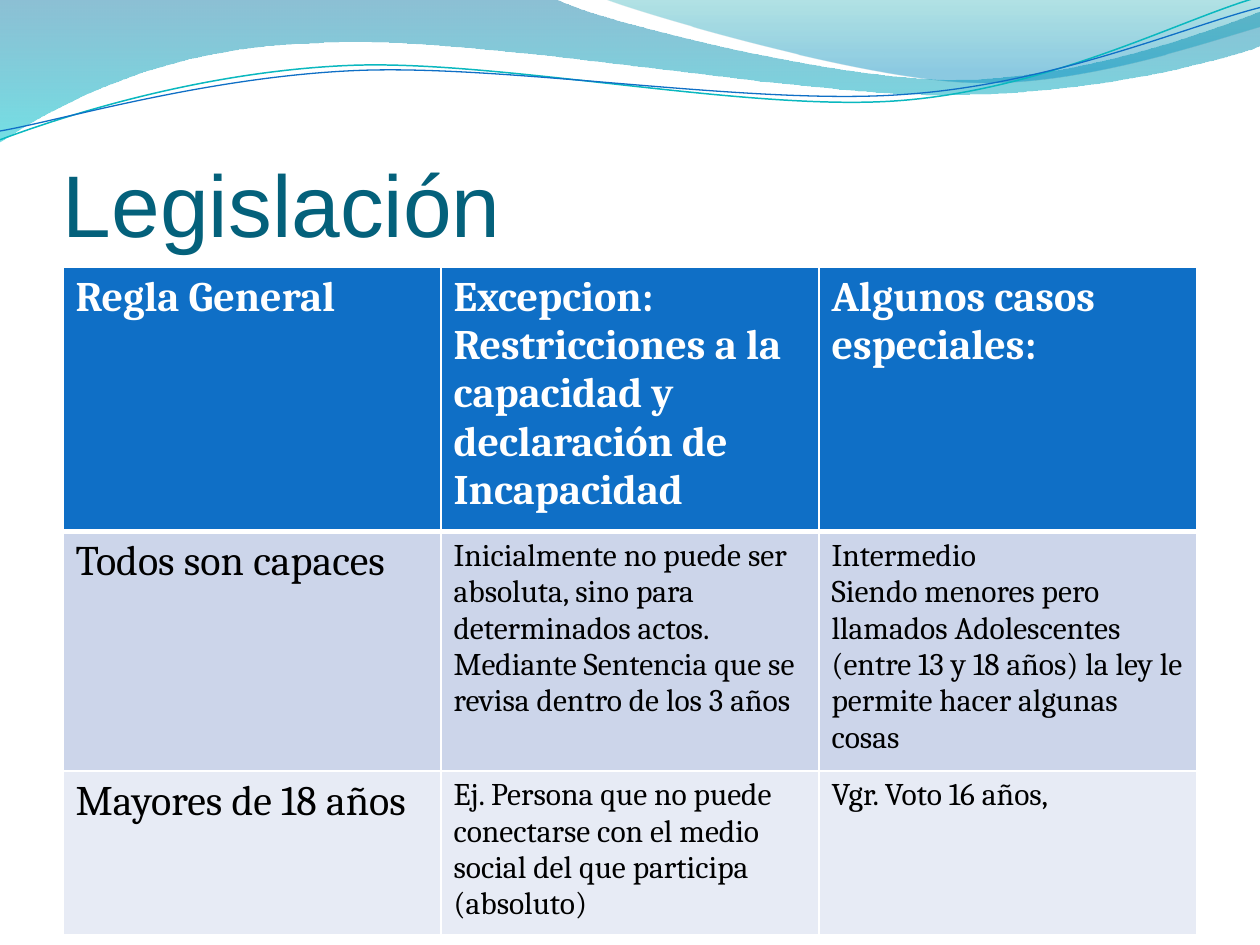
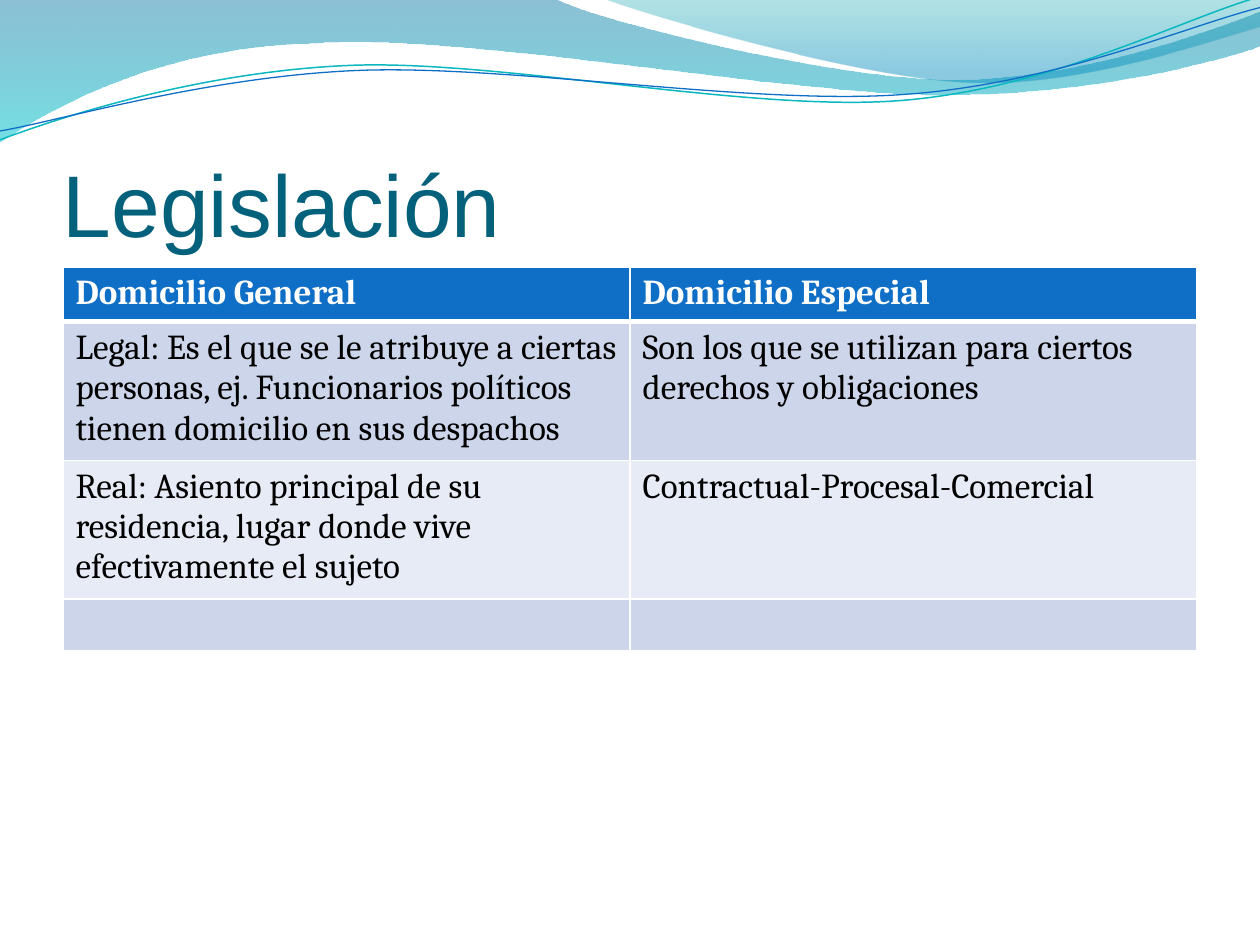
"""Build two slides on legal capacity and domicile, under a shared wave band."""
from dataclasses import dataclass

from lxml import etree
from pptx import Presentation
from pptx.dml.color import RGBColor
from pptx.enum import text as t
from pptx.oxml.ns import qn
from pptx.util import Inches, Pt


@dataclass(frozen=True)
class Theme:
    """Colours, fonts and type sizes of the deck."""
    title_color: str = "04617B"
    header_fill: str = "0F6FC6"
    header_text: str = "FFFFFF"
    body_text: str = "000000"
    border: str = "FFFFFF"
    bands: tuple = ("CCD5EA", "E7EBF5")
    title_font: str = "Arial"
    body_font: str = "Cambria"
    title_size: int = 50
    large: int = 24
    medium: int = 20
    small: int = 18


THEME = Theme()
WIDTH, HEIGHT = 10, 7.5
TITLE_BOX = (0.5, 0.77, 9, 1.25)
TABLE_LEFT, TABLE_TOP, TABLE_WIDTH = 0.5, 2.12, 9
ROW_HEIGHT = 0.41

# Outlines: a start, then segments of one point (straight) or of two controls
# and an end (curved). Gradient stops: position, colour, opacity in percent.
WAVES = [
    dict(start=(0, 0),
         segments=[[(4.4, -0.01)],
                   [(4.76, 0.17), (6.64, 0.63), (7.58, 0.63)],
                   [(8.53, 0.63), (9.58, 0.26), (10, 0.09)],
                   [(10.01, 0.36)],
                   [(9.83, 0.44), (8.7, 0.76), (7.46, 0.75)],
                   [(6.22, 0.75), (3.82, 0.28), (2.57, 0.34)],
                   [(1.29, 0.36), (0.46, 0.83), (-0.01, 1.13)],
                   [(0, 0)]],
         gradient=[(0, "0074A1", 45), (1, "00C6CF", 55)]),
    dict(start=(4.79, -0.01),
         segments=[[(5.09, 0.11), (6.82, 0.62), (7.69, 0.65)],
                   [(8.56, 0.69), (9.61, 0.32), (10, 0.21)],
                   [(10, 0)],
                   [(4.79, -0.01)]],
         gradient=[(0, "00A1A9", 30), (0.8, "008BBF", 45)]),
    dict(start=(0, 1.11),
         segments=[[(0.48, 0.93), (1.58, 0.57), (2.77, 0.52)],
                   [(3.95, 0.47), (5.93, 0.89), (7.13, 0.8)],
                   [(8.33, 0.71), (9.38, 0.15), (9.98, -0.02)]],
         stroke=("0AB8BF", 0.85)),
    dict(start=(0, 1.04),
         segments=[[(0.47, 0.96), (1.64, 0.61), (2.83, 0.56)],
                   [(4.03, 0.51), (5.97, 0.84), (7.17, 0.75)],
                   [(8.36, 0.67), (9.41, 0.21), (10, 0.06)]],
         stroke=("0F6FC6", 0.75)),
]

CAPACITY_ROWS = [
    ["Regla General",
     "Excepcion:\nRestricciones a la capacidad y declaración de Incapacidad",
     "Algunos casos especiales:"],
    ["Todos son capaces",
     "Inicialmente no puede ser absoluta, sino para determinados actos. "
     "Mediante Sentencia que se revisa dentro de los 3 años",
     "Intermedio\nSiendo menores pero llamados Adolescentes (entre 13 y 18 años) "
     "la ley le permite hacer algunas cosas"],
    ["Mayores de 18 años",
     "Ej. Persona que no puede conectarse con el medio social del que participa (absoluto)",
     "Vgr. Voto 16 años, "],
]
DOMICILE_ROWS = [
    ["Domicilio General", "Domicilio Especial"],
    ["Legal: Es el que se le atribuye a ciertas personas, ej. Funcionarios políticos "
     "tienen domicilio en sus despachos",
     "Son los que se utilizan para ciertos derechos y obligaciones"],
    ["Real: Asiento principal de su residencia, lugar donde vive efectivamente el sujeto",
     "Contractual-Procesal-Comercial"],
    ["", ""],
]


def write_text(frame, content, *, size, font, color, bold=False):
    """Write one paragraph for each line of content, all in one format."""
    for index, line in enumerate(content.split("\n")):
        paragraph = frame.add_paragraph() if index else frame.paragraphs[0]
        if line:
            run = paragraph.add_run()
            run.text = line
            run.font.size, run.font.name, run.font.bold = Pt(size), font, bold
            run.font.color.rgb = RGBColor.from_string(color)


def bend(shape, segments):
    """Turn the straight steps of each curved segment into one Bézier curve."""
    steps = iter(list(shape._element.iter(qn("a:lnTo"))))
    for segment in segments:
        legs = [next(steps) for _ in segment]
        if len(legs) == 3:
            curve = etree.Element(qn("a:cubicBezTo"))
            legs[0].addprevious(curve)
            for leg in legs:
                curve.append(leg[0])
                leg.getparent().remove(leg)


def fill_gradient(shape, stops):
    """Fill a shape from top to bottom with translucent colours."""
    shape.fill.gradient()
    shape.fill.gradient_angle = 270
    for stop, (position, color, _) in zip(shape.fill.gradient_stops, stops):
        stop.position = position
        stop.color.rgb = RGBColor.from_string(color)
    for node, (_, _, opacity) in zip(shape._element.iter(qn("a:gs")), stops):
        etree.SubElement(node[0], qn("a:alpha"), val=str(opacity * 1000))


def add_wave(slide, start, segments, gradient=None, stroke=None):
    """Draw one wave: a closed gradient area, or an open line."""
    builder = slide.shapes.build_freeform(*map(Inches, start))
    builder.add_line_segments([(Inches(x), Inches(y)) for segment in segments
                               for x, y in segment], close=gradient is not None)
    wave = builder.convert_to_shape()
    bend(wave, segments)
    wave.shadow.inherit = False
    if gradient:
        fill_gradient(wave, gradient)
        wave.line.fill.background()
    else:
        color, width = stroke
        wave.fill.background()
        wave.line.color.rgb = RGBColor.from_string(color)
        wave.line.width = Pt(width)


def add_title(slide, box, title):
    """Place the slide title at the bottom of its box."""
    frame = slide.shapes.add_textbox(*map(Inches, box)).text_frame
    frame.word_wrap = True
    frame.vertical_anchor = t.MSO_ANCHOR.BOTTOM
    frame.margin_left = frame.margin_right = frame.margin_bottom = 0
    frame.margin_top = Inches(0.05)
    write_text(frame, title, size=THEME.title_size, font=THEME.title_font,
               color=THEME.title_color)


def set_borders(cell, top, bottom):
    """Give a cell thin side borders and the given top and bottom widths."""
    properties = cell._tc.get_or_add_tcPr()
    for side, width in zip("LRTB", (1, 1, top, bottom)):
        line = etree.SubElement(properties, qn(f"a:ln{side}"), w=str(Pt(width)))
        fill = etree.SubElement(line, qn("a:solidFill"))
        etree.SubElement(fill, qn("a:srgbClr"), val=THEME.border)


def add_banded_table(slide, box, rows, header_size, column_sizes):
    """Place a table with a strong header and bands; its rows grow with their text."""
    left, top, width, height = map(Inches, box)
    graphic = slide.shapes.add_table(len(rows), len(rows[0]), left, top, width,
                                     Inches(ROW_HEIGHT * len(rows)))
    for r, row in enumerate(rows):
        header = r == 0
        for c, content in enumerate(row):
            cell = graphic.table.cell(r, c)
            set_borders(cell, top=3 if r == 1 else 1, bottom=3 if header else 1)
            cell.fill.solid()
            cell.fill.fore_color.rgb = RGBColor.from_string(
                THEME.header_fill if header else THEME.bands[(r - 1) % 2])
            write_text(cell.text_frame, content, font=THEME.body_font, bold=header,
                       size=header_size if header else column_sizes[c],
                       color=THEME.header_text if header else THEME.body_text)
    graphic.height = height


def add_law_slide(deck, rows, table_height, header_size, column_sizes):
    """Add a slide with the wave band, the title and one table."""
    slide = deck.slides.add_slide(deck.slide_layouts[6])
    for wave in WAVES:
        add_wave(slide, **wave)
    add_title(slide, TITLE_BOX, "Legislación")
    add_banded_table(slide, (TABLE_LEFT, TABLE_TOP, TABLE_WIDTH, table_height),
                     rows, header_size, column_sizes)


deck = Presentation()
deck.slide_width, deck.slide_height = Inches(WIDTH), Inches(HEIGHT)
add_law_slide(deck, CAPACITY_ROWS, 5.09, THEME.large, (THEME.large, THEME.small, THEME.small))
add_law_slide(deck, DOMICILE_ROWS, 2.95, THEME.medium, (THEME.medium, THEME.medium))
deck.save("out.pptx")
